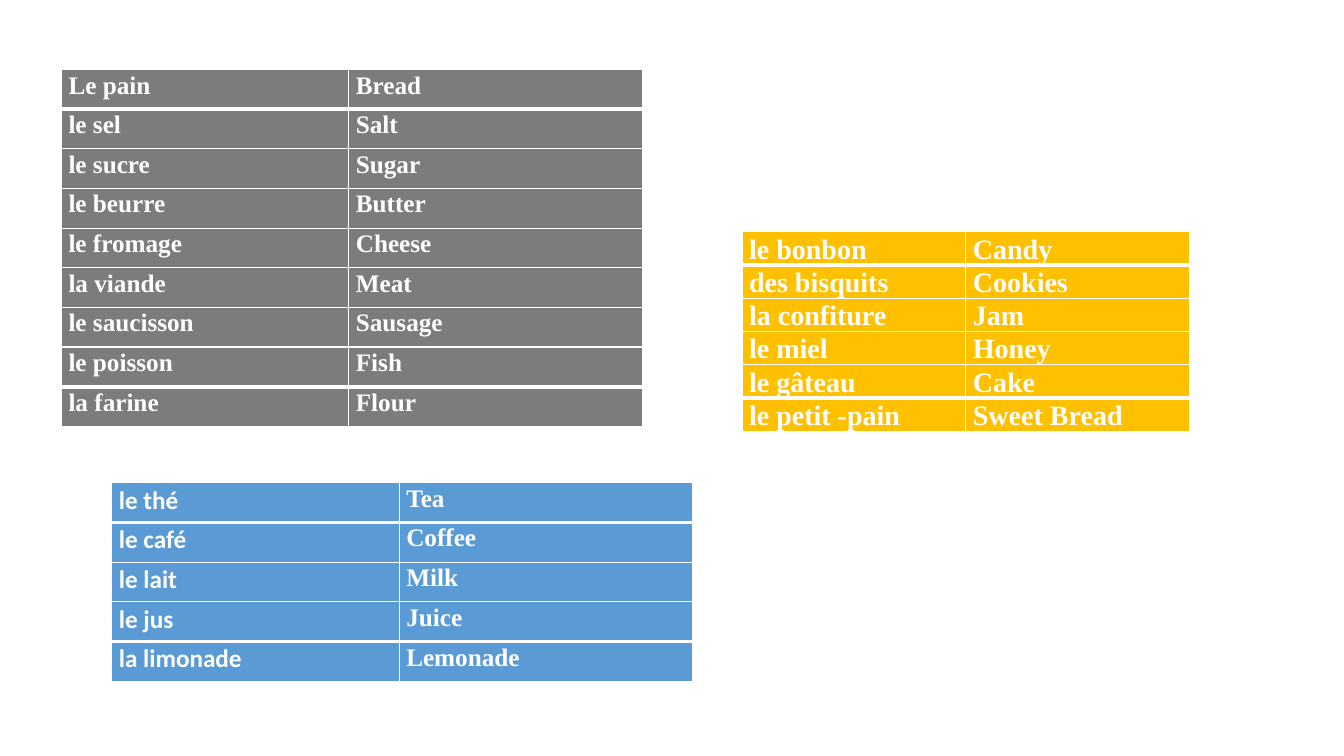
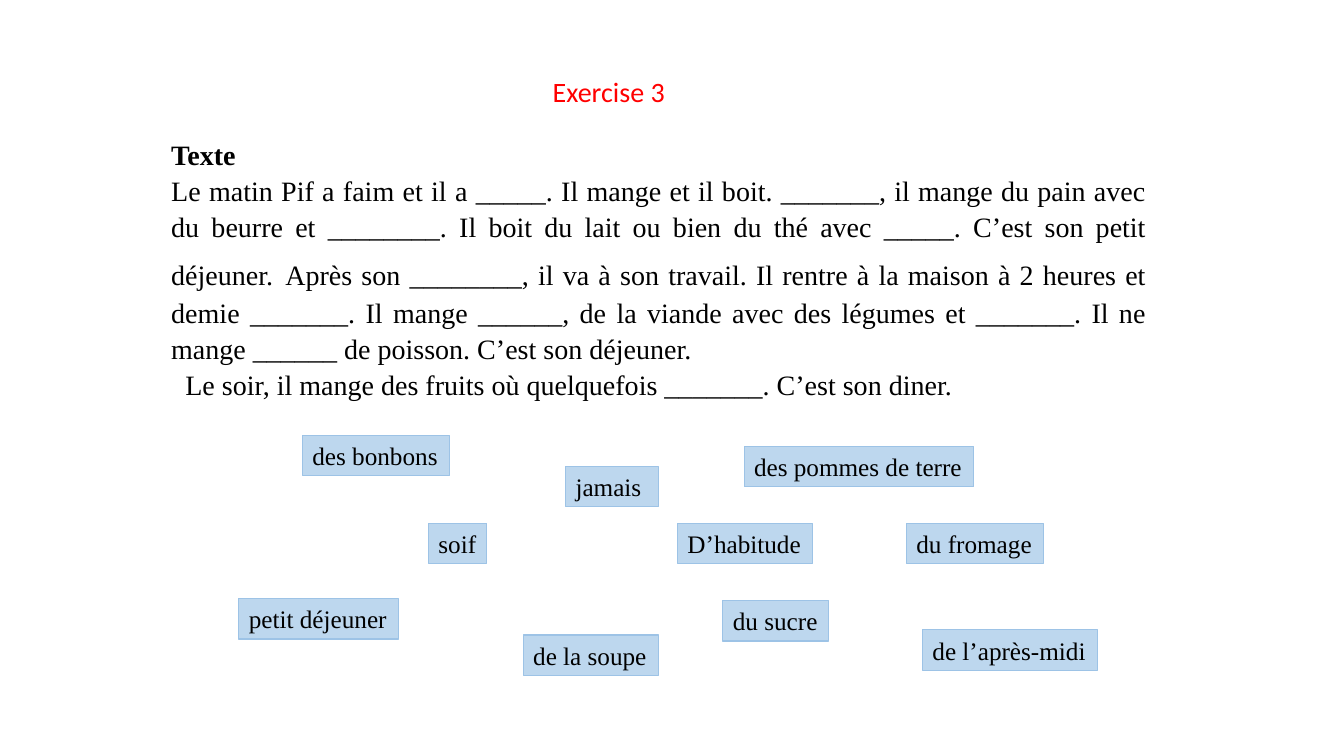
import pptx
import pptx.dml.color
import pptx.enum.shapes
import pptx.enum.text
import pptx.oxml
import pptx.oxml.ns
import pptx.util

RGB = pptx.dml.color.RGBColor
ALIGN = pptx.enum.text.PP_ALIGN

# Shared look
WHITE = RGB(0xFF, 0xFF, 0xFF)
BLACK = RGB(0x00, 0x00, 0x00)
RED = RGB(0xFF, 0x00, 0x00)
GREY = RGB(0x7C, 0x7C, 0x7C)
GOLD = RGB(0xFF, 0xC0, 0x00)
BLUE = RGB(0x5B, 0x9B, 0xD5)
PALE_BLUE = RGB(0xBD, 0xD7, 0xEE)
SOFT_BLUE = RGB(0x9D, 0xC3, 0xE6)
SERIF = "Times New Roman"
SANS = "Calibri"
LINE_SPACING = 1.07
THIN, THICK = 1, 3
SCALE = 9144  # EMU in one px, 100 px to the inch

# Vocabulary tables: place, column widths, height, fill, size, column fonts, rows
VOCABULARY = [
    dict(left=61, top=69, widths=(285, 291), height=354, fill=GREY, size=18,
         fonts=(SERIF, SERIF), rows=[
             ("Le pain", "Bread"), ("le sel", "Salt"), ("le sucre", "Sugar"),
             ("le beurre", "Butter"), ("le fromage", "Cheese"),
             ("la viande", "Meat"), ("le saucisson", "Sausage"),
             ("le poisson", "Fish"), ("la farine", "Flour")]),
    dict(left=736, top=230, widths=(222, 222), height=198, fill=GOLD, size=20,
         fonts=(SERIF, SERIF), rows=[
             ("le bonbon", "Candy"), ("des bisquits", "Cookies"),
             ("la confiture", "Jam"), ("le miel", "Honey"),
             ("le gâteau", "Cake"), ("le petit -pain", "Sweet Bread")]),
    dict(left=111, top=479, widths=(285, 291), height=197, fill=BLUE, size=18,
         fonts=(SANS, SERIF), rows=[
             ("le thé", "Tea"), ("le café", "Coffee"), ("le lait", "Milk"),
             ("le jus", "Juice"), ("la limonade", "Lemonade")]),
]

# Exercise: each paragraph is a list of (text, size) runs
EXERCISE_TITLE = "Exercise 3 "
STORY = [
    [("Texte", 20)],
    [("Le matin Pif a faim et il a _____. Il mange et il boit. _______, "
      "il mange du pain avec du beurre et ________. Il boit du lait ou bien "
      "du thé avec _____. C’est son petit déjeuner.", 20),
     (" ", 28),
     ("Après son ________, il va à son travail. Il rentre à la maison à "
      "2 heures et demie _______. Il mange ______, de la viande avec des "
      "légumes et _______. Il ne mange ______ de poisson. "
      "C’est son déjeuner.", 20)],
    [("Le soir, il mange des fruits où quelquefois _______. "
      "C’est son diner.", 20)],
]
STORY_INDENT = 14

# Answer cards: text, left, top, width
CARD_HEIGHT = 40
CARDS = [
    ("soif", 425, 519, 58), ("D’habitude", 672, 519, 134),
    ("du fromage", 899, 519, 136), ("du sucre", 717, 596, 105),
    ("petit déjeuner", 237, 594, 158), ("de l’après-midi", 915, 625, 174),
    ("de la soupe", 519, 630, 134), ("des pommes de terre", 738, 443, 228),
    ("jamais", 561, 463, 92), ("des bonbons", 300, 432, 146),
]


def px(length):
    return pptx.util.Emu(round(length * SCALE))


def set_font(font, name, size, color, bold=False):
    font.name, font.size, font.bold = name, pptx.util.Pt(size), bold
    font.color.rgb = color


def add_border(cell, side, points):
    properties = cell._tc.get_or_add_tcPr()
    properties.append(pptx.oxml.parse_xml(
        f'<a:ln{side} {pptx.oxml.ns.nsdecls("a")} w="{pptx.util.Pt(points)}">'
        f'<a:solidFill><a:srgbClr val="{WHITE}"/></a:solidFill></a:ln{side}>'))


def add_vocabulary(page, words):
    rows, widths = words["rows"], words["widths"]
    last = len(rows) - 1
    table = page.shapes.add_table(
        len(rows), len(widths), px(words["left"]), px(words["top"]),
        px(sum(widths)), px(words["height"])).table
    table.first_row = table.horz_banding = False
    for column, width in zip(table.columns, widths):
        column.width = px(width)
    for index, row in enumerate(rows):
        table.rows[index].height = px(words["height"] / len(rows))
        # Thick rules sit under the first row and above the last
        above = THICK if index in (1, last) else THIN
        below = THICK if index in (0, last - 1) else THIN
        for position, text in enumerate(row):
            cell = table.cell(index, position)
            for side, points in zip("LRTB", (THIN, THIN, above, below)):
                add_border(cell, side, points)
            cell.fill.solid()
            cell.fill.fore_color.rgb = words["fill"]
            cell.margin_left = cell.margin_right = px(7)
            cell.margin_top = cell.margin_bottom = 0
            cell.text = text
            para = cell.text_frame.paragraphs[0]
            para.line_spacing = LINE_SPACING
            set_font(para.font, words["fonts"][position], words["size"],
                     WHITE, True)


def add_text_box(page, left, top, width, height):
    box = page.shapes.add_textbox(px(left), px(top), px(width), px(height))
    box.text_frame.word_wrap = True
    return box.text_frame


def add_story(page):
    frame = add_text_box(page, 160, 129, 987, 277)
    for index, spans in enumerate(STORY):
        para = frame.add_paragraph() if index else frame.paragraphs[0]
        para.alignment = ALIGN.JUSTIFY
        para.line_spacing = LINE_SPACING
        for text, size in spans:
            span = para.add_run()
            span.text = text
            set_font(span.font, SERIF, size, BLACK, index == 0)
    para._p.get_or_add_pPr().set("indent", str(px(STORY_INDENT)))


def add_card(page, text, left, top, width):
    card = page.shapes.add_shape(
        pptx.enum.shapes.MSO_SHAPE.RECTANGLE,
        px(left), px(top), px(width), px(CARD_HEIGHT))
    card.shadow.inherit = False
    card.fill.solid()
    card.fill.fore_color.rgb = PALE_BLUE
    card.line.color.rgb = SOFT_BLUE
    card.line.width = pptx.util.Pt(0.75)
    frame = card.text_frame
    frame.word_wrap = True
    frame.margin_right = 0
    frame.vertical_anchor = pptx.enum.text.MSO_ANCHOR.TOP
    frame.text = text
    para = frame.paragraphs[0]
    para.alignment = ALIGN.LEFT
    set_font(para.font, SERIF, 18, BLACK)


def add_title(page):
    para = add_text_box(page, 430, 69, 354, 44).paragraphs[0]
    para.text = EXERCISE_TITLE
    para.alignment = ALIGN.CENTER
    set_font(para.font, SANS, 20, RED)


def main():
    deck = pptx.Presentation()
    deck.slide_width, deck.slide_height = px(1333), px(750)
    blank = deck.slide_layouts[6]

    # Vocabulary slide
    page = deck.slides.add_slide(blank)
    for words in VOCABULARY:
        add_vocabulary(page, words)

    # Exercise slide
    page = deck.slides.add_slide(blank)
    add_story(page)
    for card in CARDS:
        add_card(page, *card)
    add_title(page)

    deck.save("out.pptx")


if __name__ == "__main__":
    main()
